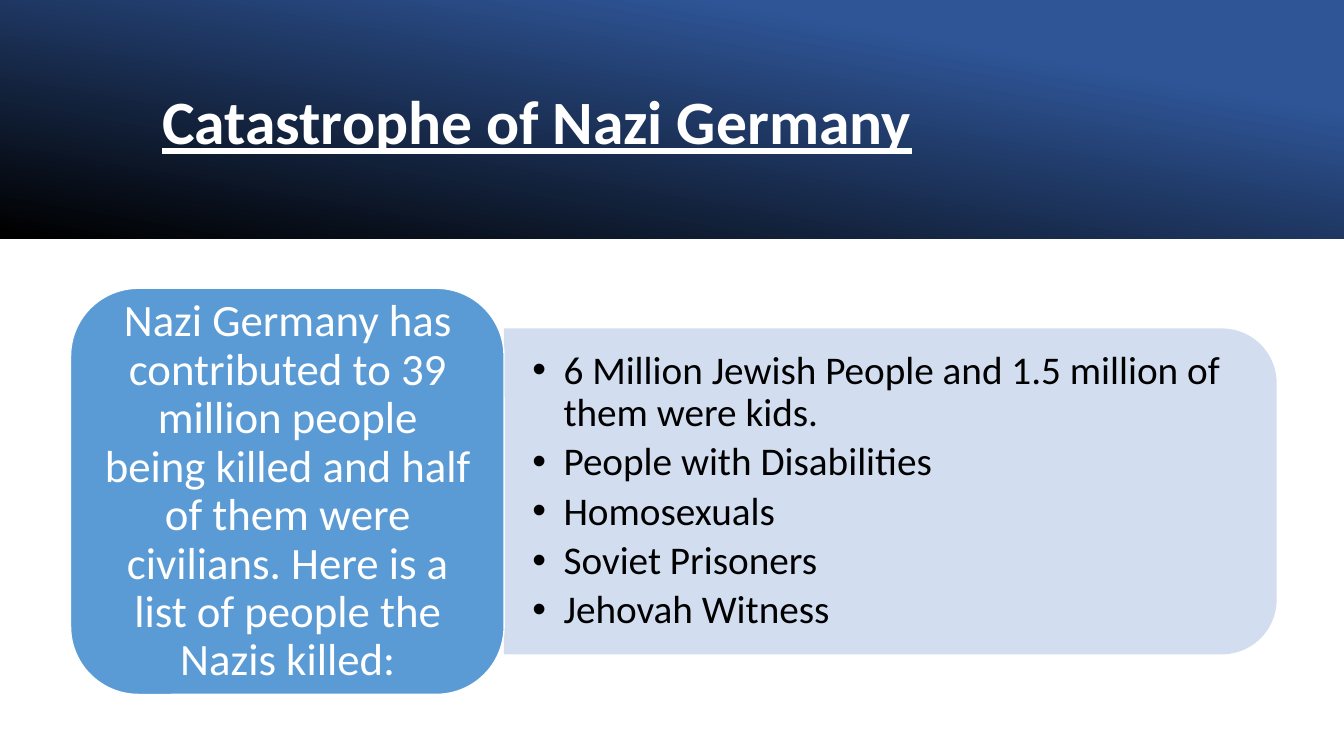
from lxml import etree
from pptx import Presentation
from pptx import util as u
from pptx.dml.color import RGBColor
from pptx.enum import shapes, text
from pptx.oxml.ns import qn

prs = Presentation()
prs.slide_width, prs.slide_height = u.Inches(13.33), u.Inches(7.5)
W, H = 13.33, 7.5
s = prs.slides.add_slide(prs.slide_layouts[6])
MS = shapes.MSO_SHAPE


def color(fmt, value, alpha=100):
    fmt.rgb = RGBColor.from_string(value)
    if alpha < 100:
        node = fmt._xFill if hasattr(fmt, "_xFill") else fmt._color._xClr
        etree.SubElement(node, qn("a:alpha"), val=str(alpha * 1000))


def write(lines, box, size, ink, inset=(0.1, 0.05), align=text.PP_ALIGN.LEFT,
          bold=False, bullet=False, after=0):
    tf = s.shapes.add_textbox(*[u.Inches(v) for v in box]).text_frame
    tf.word_wrap = True
    tf.vertical_anchor = text.MSO_ANCHOR.MIDDLE
    tf.margin_left = tf.margin_right = u.Inches(inset[0])
    tf.margin_top = tf.margin_bottom = u.Inches(inset[1])
    for i, line in enumerate(lines):
        p = tf.add_paragraph() if i else tf.paragraphs[0]
        p.alignment, p.line_spacing, p.space_after = align, 0.9, u.Pt(after)
        r = p.add_run()
        r.text = line
        r.font.name, r.font.size = "Calibri", u.Pt(size)
        r.font.bold = r.font.underline = bold
        color(r.font.color, ink)
        if bullet:
            pPr = p._p.get_or_add_pPr()
            pPr.set("marL", str(u.Inches(0.31)))
            pPr.set("indent", str(-u.Inches(0.31)))
            etree.SubElement(pPr, qn("a:buFont"), typeface="Arial")
            etree.SubElement(pPr, qn("a:buChar"), char="•")


band = 2.37
mid = (W - band) / 2
for box, turn, angle, stops in [
    ((0, 0, W, band), 0, 30, [(0, "000000", 96), (1, "2F5597", 100)]),
    ((8.84, 0, W - 8.84, band), 0, 40, [(0.19, "203864", 68), (1, "4472C4", 48)]),
    ((mid, -mid, band, W), 270, 10, [(0.23, "2F5597", 16), (0.99, "000000", 45)]),
]:
    sp = s.shapes.add_shape(MS.RECTANGLE, *[u.Inches(v) for v in box])
    sp.shadow.inherit = False
    sp.line.fill.background()
    sp.rotation = turn
    sp._element.spPr.find(qn("a:xfrm")).set("flipH", "1")
    sp.fill.gradient()
    sp.fill.gradient_angle = angle
    for stop, (pos, value, alpha) in zip(sp.fill.gradient_stops, stops):
        stop.position = pos
        color(stop.color, value, alpha)

write(["Catastrophe of Nazi Germany"], (1.51, 0.38, 10.63, 1.72), 44, "FFFFFF", bold=True)

for kind, box, turn, fill, line, alpha in [
    (MS.ROUND_2_SAME_RECTANGLE, (7.22, 1.05, 3.22, 7.65), 90, "D2DEEF", "D2DEEF", 90),
    (MS.ROUNDED_RECTANGLE, (0.7, 2.86, 4.3, 4.03), 0, "5B9BD5", "FFFFFF", 100),
]:
    sp = s.shapes.add_shape(kind, *[u.Inches(v) for v in box])
    sp.shadow.inherit = False
    sp.rotation = turn
    sp.fill.solid()
    color(sp.fill.fore_color, fill, alpha)
    sp.line.width = u.Pt(1)
    color(sp.line.color, line, alpha)

write(["6 Million Jewish People and 1.5 million of them were kids.",
       "People with Disabilities", "Homosexuals", "Soviet Prisoners", "Jehovah Witness"],
      (5.01, 3.42, 7.49, 2.91), 28, "000000", inset=(0.27, 0.14), bullet=True, after=5)
write(["Nazi Germany has contributed to 39 million people being killed and half of them "
       "were civilians. Here is a list of people the Nazis killed:"],
      (0.9, 3.06, 3.91, 3.64), 32, "FFFFFF", inset=(0.13, 0.07), align=text.PP_ALIGN.CENTER)

prs.save("out.pptx")
